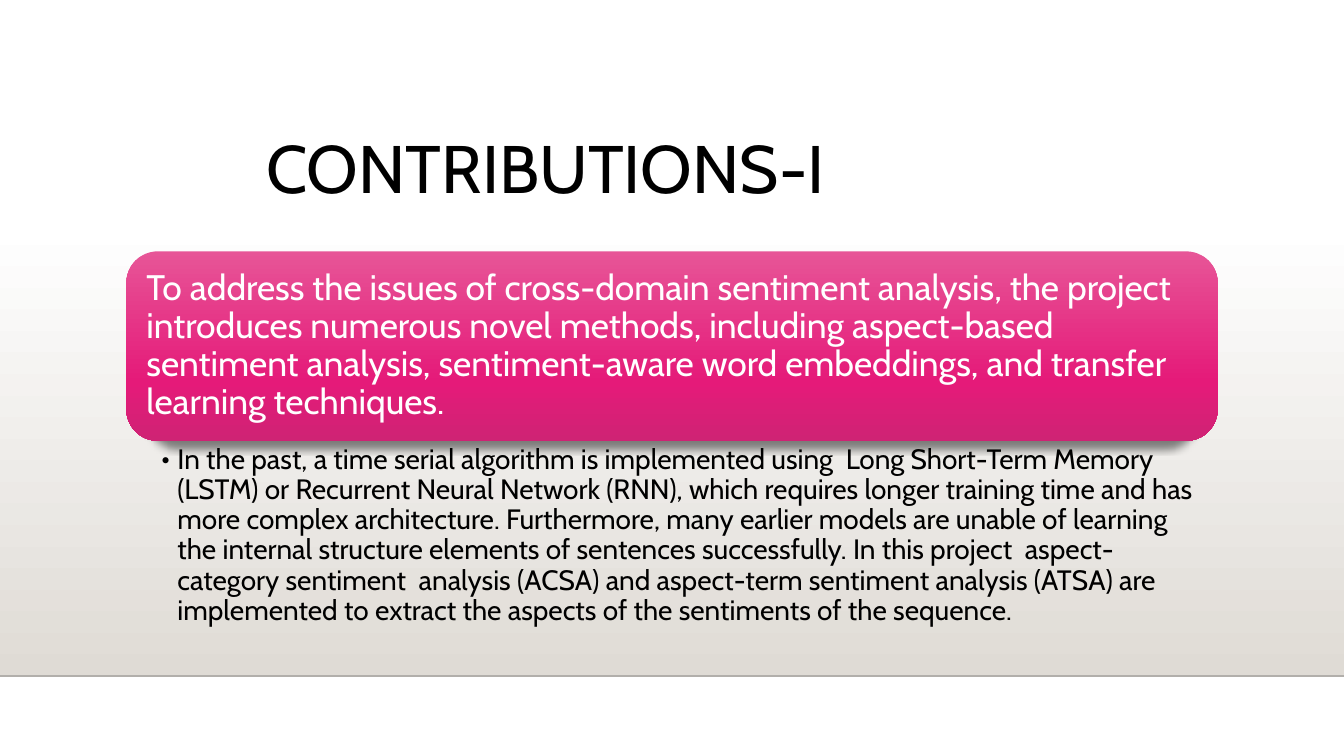
import dataclasses
import typing

import lxml.etree
import pptx
import pptx.dml.color
import pptx.enum.shapes
import pptx.enum.text
import pptx.oxml
import pptx.oxml.ns
import pptx.util

W = 10
H = W * 9 / 16
FONT = "Cabin"
COLORS = {
    "white": "FFFFFF", "black": "000000", "floor": "DFDBD5", "edge": "B2AFAB",
    "pink_top": "E75597", "pink_mid": "E51A79", "pink_low": "CF2374",
}
NS = 'xmlns:a="http://schemas.openxmlformats.org/drawingml/2006/main"'
qn = pptx.oxml.ns.qn
ANCHOR = pptx.enum.text.MSO_ANCHOR
ALIGN = pptx.enum.text.PP_ALIGN
SHAPE = pptx.enum.shapes.MSO_SHAPE

# Shares of the slide's size
LEFT, WIDE = 0.094, 0.812
CARD_TOP, CARD_HIGH = 1.87 / H, 1.41 / H
FLOOR_TOP, FLOOR_END = 1.66 / H, 5.03 / H
PAD = 0.07  # inches from the card's edge to its text box


@dataclasses.dataclass
class Box:
    x: float
    y: float
    w: float
    h: float

    def emu(self) -> list[int]:
        return [pptx.util.Inches(v) for v in
                (self.x * W, self.y * H, self.w * W, self.h * H)]

    def inset(self, pad: float) -> "Box":
        dx, dy = pad / W, pad / H
        return Box(self.x + dx, self.y + dy, self.w - 2 * dx, self.h - 2 * dy)


@dataclasses.dataclass
class Words:
    text: str
    size: float
    color: str
    align: typing.Any = ALIGN.LEFT
    anchor: typing.Any = ANCHOR.MIDDLE
    insets: tuple = (0.08, 0.08, 0.08, 0.08)


@dataclasses.dataclass
class Panel:
    kind: typing.Any
    box: Box
    stops: list[tuple[int, str]]


def rgb(name: str) -> pptx.dml.color.RGBColor:
    return pptx.dml.color.RGBColor.from_string(COLORS[name])


def write(sp, words: Words):
    """Fill a shape with one formatted paragraph and return it."""
    tf = sp.text_frame
    sides = ("margin_left", "margin_top", "margin_right", "margin_bottom")
    frame = dict(zip(sides, map(pptx.util.Inches, words.insets)))
    frame |= {"word_wrap": True, "vertical_anchor": words.anchor,
              "auto_size": pptx.enum.text.MSO_AUTO_SIZE.NONE}
    for name, value in frame.items():
        setattr(tf, name, value)
    p = tf.paragraphs[0]
    for name, value in {"alignment": words.align, "line_spacing": 0.9,
                        "space_before": pptx.util.Pt(0)}.items():
        setattr(p, name, value)
    r = p.add_run()
    r.text = words.text
    for name, value in {"name": FONT, "size": pptx.util.Pt(words.size)}.items():
        setattr(r.font, name, value)
    r.font.color.rgb = rgb(words.color)
    return p


def add_panel(s, panel: Panel):
    """Draw a shape with a gradient that runs from top to bottom."""
    sp = s.shapes.add_shape(panel.kind, *panel.box.emu())
    sp.shadow.inherit = False
    sp.line.fill.background()
    stops = "".join(f'<a:gs pos="{at * 1000}"><a:srgbClr val="{COLORS[c]}"/></a:gs>'
                    for at, c in panel.stops)
    grad = pptx.oxml.parse_xml(f'<a:gradFill {NS}><a:gsLst>{stops}</a:gsLst>'
                               '<a:lin ang="5400000" scaled="0"/></a:gradFill>')
    sp._element.spPr.find(qn("a:prstGeom")).addnext(grad)
    return sp


def add_shadow(sp) -> None:
    effects = sp._element.spPr.find(qn("a:effectLst"))
    effects.append(pptx.oxml.parse_xml(
        f'<a:outerShdw {NS} blurRad="50800" dist="50800" dir="5400000" sx="96000"'
        ' algn="b" rotWithShape="0"><a:srgbClr val="000000"><a:alpha val="48000"/>'
        '</a:srgbClr></a:outerShdw>'))


def add_bullet(p, indent: float) -> None:
    pPr = p._p.get_or_add_pPr()
    pPr.set("marL", str(pptx.util.Inches(indent)))
    pPr.set("indent", str(pptx.util.Inches(-indent)))
    lxml.etree.SubElement(pPr, qn("a:buFont")).set("typeface", FONT)
    lxml.etree.SubElement(pPr, qn("a:buChar")).set("char", "•")


prs = pptx.Presentation()
prs.slide_width, prs.slide_height = pptx.util.Inches(W), pptx.util.Inches(H)
s = prs.slides.add_slide(prs.slide_layouts[5])
s.background.fill.solid()
s.background.fill.fore_color.rgb = rgb("white")

# Floor and its edge, behind the title
floor = add_panel(s, Panel(SHAPE.RECTANGLE, Box(0, FLOOR_TOP, 1, FLOOR_END - FLOOR_TOP),
                           [(0, "white"), (100, "floor")]))
y = pptx.util.Inches(FLOOR_END * H)
edge = s.shapes.add_connector(pptx.enum.shapes.MSO_CONNECTOR.STRAIGHT,
                              0, y, prs.slide_width, y)
edge.line.width = pptx.util.Pt(1)
edge.line.color.rgb = rgb("edge")
lxml.etree.SubElement(edge._element.spPr, qn("a:effectLst"))
title = s.shapes.title
for sp in (floor, edge):
    title._element.addprevious(sp._element)

# Title
box = Box(0, 0.83 / H, WIDE, 0.9 / H)
for name, value in zip(("left", "top", "width", "height"), box.emu()):
    setattr(title, name, value)
write(title, Words("CONTRIBUTIONS-I", 36, "black", ALIGN.CENTER))

# Card with the main contribution
card_box = Box(LEFT, CARD_TOP, WIDE, CARD_HIGH)
card = add_panel(s, Panel(SHAPE.ROUNDED_RECTANGLE, card_box,
                          [(0, "pink_top"), (69, "pink_mid"), (100, "pink_low")]))
add_shadow(card)
claim = s.shapes.add_textbox(*card_box.inset(PAD).emu())
write(claim, Words(
    "To address the issues of cross-domain sentiment analysis, the project introduces "
    "numerous novel methods, including aspect-based sentiment analysis, sentiment-aware "
    "word embeddings, and transfer learning techniques.",
    19, "white"))

# Bulleted detail under the card
detail = s.shapes.add_textbox(*Box(LEFT, CARD_TOP + CARD_HIGH, WIDE, 1.38 / H).emu())
p = write(detail, Words(
    "In the past, a time serial algorithm is implemented using  Long Short-Term Memory "
    "(LSTM) or Recurrent Neural Network (RNN), which requires longer training time and has "
    "more complex architecture. Furthermore, many earlier models are unable of learning the "
    "internal structure elements of sentences successfully. In this project  aspect-category "
    "sentiment  analysis (ACSA) and aspect-term sentiment analysis (ATSA) are implemented to "
    "extract the aspects of the sentiments of the sequence.",
    15, "black", anchor=ANCHOR.TOP, insets=(0.26, 0.03, 0.15, 0.03)))
add_bullet(p, 0.12)

prs.save("out.pptx")
